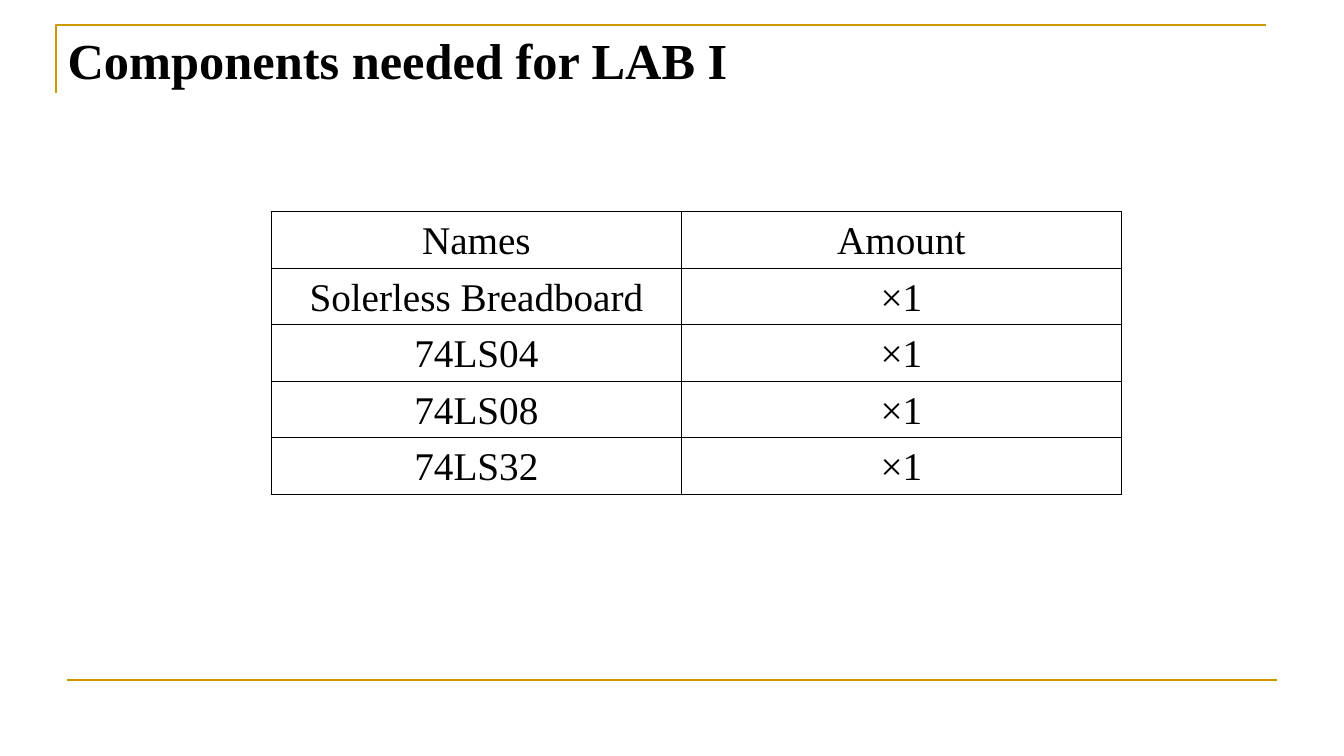
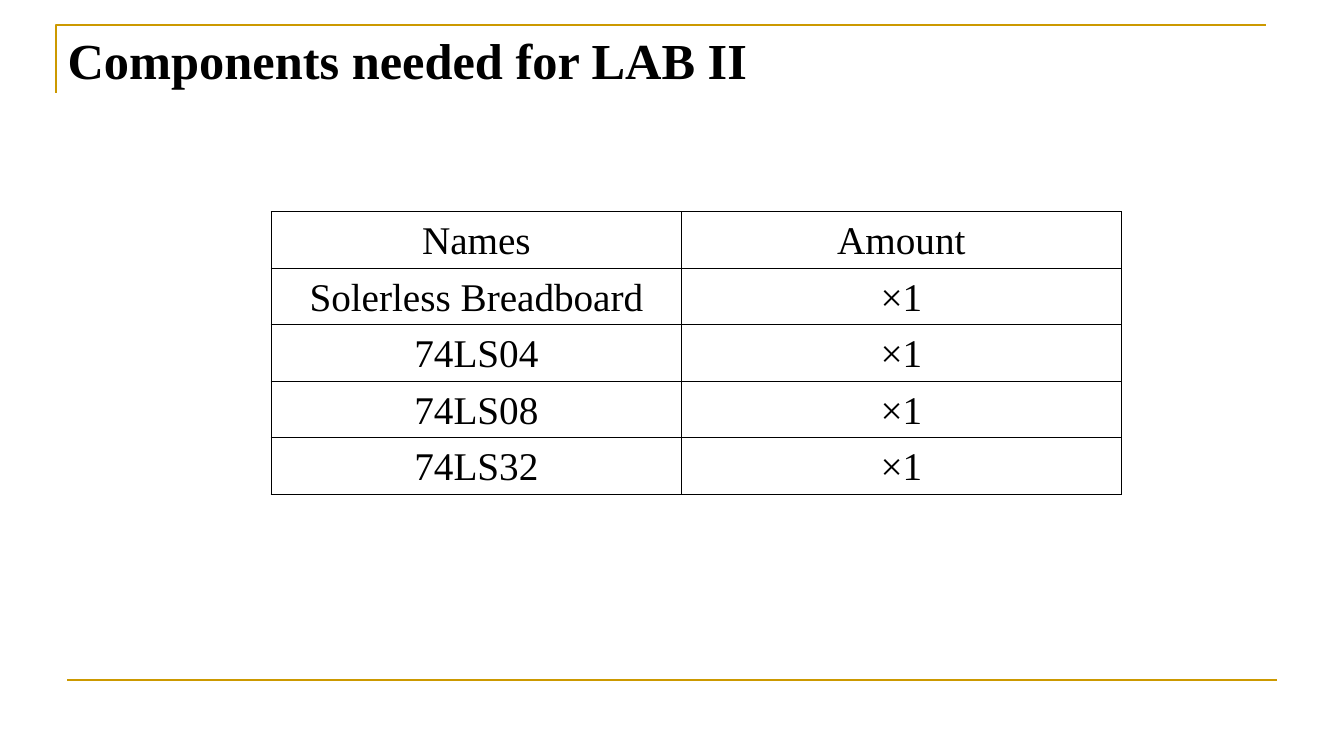
import pptx
import pptx.dml.color
import pptx.enum.shapes
import pptx.enum.text
import pptx.oxml
import pptx.oxml.ns
import pptx.util

GOLD = pptx.dml.color.RGBColor(0xCC, 0x99, 0x00)
BLACK = pptx.dml.color.RGBColor(0x00, 0x00, 0x00)
FONT = "Times New Roman"
WIDTH = pptx.util.Inches(13.33)
HEIGHT = pptx.util.Inches(7.5)
RULE_WEIGHT = pptx.util.Pt(1.5)
BORDER_WEIGHT = pptx.util.Pt(0.96)

TITLES = ["Components needed for LAB I", "Components needed for LAB II"]
COMPONENTS = [
    ("Names", "Amount"),
    ("Solerless Breadboard", "×1"),
    ("74LS04", "×1"),
    ("74LS08", "×1"),
    ("74LS32", "×1"),
]
COLUMN_SHARES = (30.53, 32.71)
ROW_SHARE = 7.48


def across(percent):
    return round(WIDTH * percent / 100)


def down(percent):
    return round(HEIGHT * percent / 100)


def style_rule(rule):
    rule.line.color.rgb = GOLD
    rule.line.width = RULE_WEIGHT


def draw_corner(page):
    left, top, right, bottom = across(4.2), down(3.33), across(94.2), down(12.27)
    builder = page.shapes.build_freeform(left, bottom)
    builder.add_line_segments([(left, top), (right, top)], close=False)
    corner = builder.convert_to_shape()
    corner.fill.background()
    corner.shadow.inherit = False
    style_rule(corner)
    return corner


def draw_footer_rule(page):
    rule = page.shapes.add_connector(
        pptx.enum.shapes.MSO_CONNECTOR.STRAIGHT,
        across(5), down(90), across(95), down(90))
    style_rule(rule)
    properties = rule.element.find(pptx.oxml.ns.qn("p:spPr"))
    properties.append(pptx.oxml.parse_xml(
        f"<a:effectLst {pptx.oxml.ns.nsdecls('a')}/>"))
    return rule


def place_title(layout):
    box = layout.placeholders[0]
    box.left, box.top = across(4.28), down(3.2)
    box.width, box.height = across(75.6), down(17.6)
    frame = box.text_frame
    frame.vertical_anchor = pptx.enum.text.MSO_ANCHOR.TOP
    frame.auto_size = pptx.enum.text.MSO_AUTO_SIZE.NONE


def move_to_layout(shapes, layout):
    for shape in shapes:
        layout.shapes.element.append(shape.element)


def style_text(para, size, alignment, bold=False):
    para.alignment = alignment
    para.font.name = FONT
    para.font.size = pptx.util.Pt(size)
    para.font.bold = bold
    para.font.color.rgb = BLACK


def write_title(page, text):
    title = page.shapes.title
    title.text_frame.text = text
    style_text(title.text_frame.paragraphs[0], 36,
               pptx.enum.text.PP_ALIGN.LEFT, bold=True)


def add_borders(cell):
    properties = cell._tc.get_or_add_tcPr()
    for position, side in enumerate(("lnL", "lnR", "lnT", "lnB")):
        properties.insert(position, pptx.oxml.parse_xml(
            f"<a:{side} {pptx.oxml.ns.nsdecls('a')} w='{BORDER_WEIGHT}'>"
            f"<a:solidFill><a:srgbClr val='{BLACK}'/></a:solidFill></a:{side}>"))


def fill_cell(cell, text):
    cell.fill.background()
    cell.margin_left = cell.margin_right = pptx.util.Inches(0.07)
    cell.margin_top = cell.margin_bottom = pptx.util.Inches(0.05)
    cell.text = text
    para = cell.text_frame.paragraphs[0]
    para.line_spacing = 1.07
    style_text(para, 28, pptx.enum.text.PP_ALIGN.CENTER)
    add_borders(cell)


def add_component_table(page, rows):
    table = page.shapes.add_table(
        len(rows), len(COLUMN_SHARES), across(20.18), down(28),
        across(sum(COLUMN_SHARES)), down(ROW_SHARE * len(rows))).table
    table.first_row = table.horz_banding = False
    for column, share in zip(table.columns, COLUMN_SHARES):
        column.width = across(share)
    for row, texts in zip(table.rows, rows):
        row.height = down(ROW_SHARE)
        for cell, text in zip(row.cells, texts):
            fill_cell(cell, text)


def main():
    deck = pptx.Presentation()
    deck.slide_width, deck.slide_height = WIDTH, HEIGHT
    layout = deck.slide_layouts.get_by_name("Title Only")
    place_title(layout)
    pages = [deck.slides.add_slide(layout) for _ in TITLES]
    move_to_layout([draw_corner(pages[0]), draw_footer_rule(pages[0])], layout)
    for page, title in zip(pages, TITLES):
        write_title(page, title)
        add_component_table(page, COMPONENTS)
    deck.save("out.pptx")


if __name__ == "__main__":
    main()
